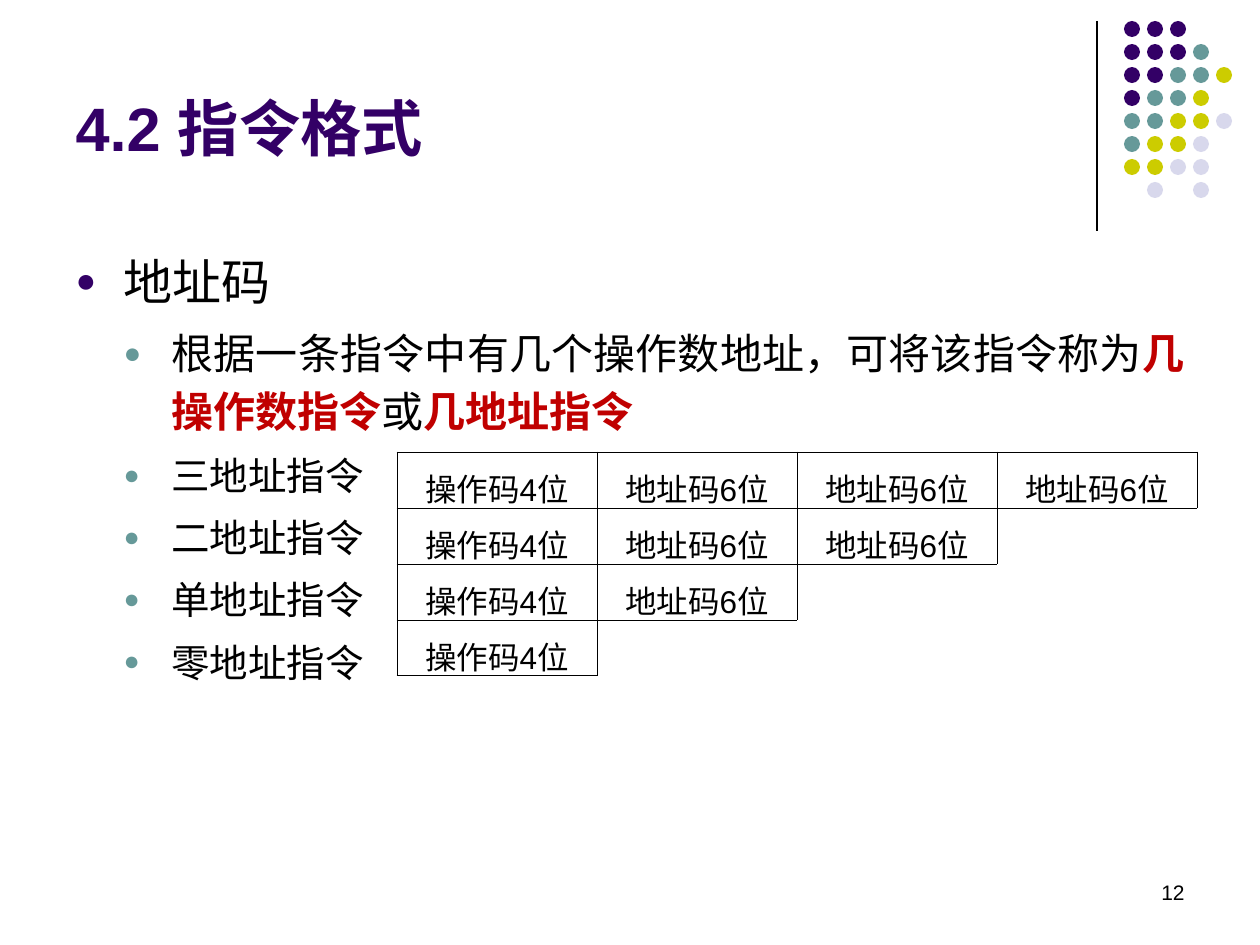
from lxml import etree
from pptx import Presentation
from pptx.dml.color import RGBColor
from pptx.enum.shapes import MSO_CONNECTOR as Conn, MSO_SHAPE as Shape
from pptx.enum.text import MSO_ANCHOR as Anchor, MSO_AUTO_SIZE as Fit, PP_ALIGN as Align
from pptx.oxml.ns import qn
from pptx.util import Emu, Pt

BLACK = RGBColor(0, 0, 0)
WHITE = RGBColor(0xFF, 0xFF, 0xFF)
PURPLE = RGBColor(0x33, 0, 0x66)
TEAL = RGBColor(0x66, 0x99, 0x99)
LIME = RGBColor(0xCC, 0xCC, 0)
PALE = RGBColor(0xD8, 0xD8, 0xEC)
RED = RGBColor(0xC0, 0, 0)
LATIN, HAN = "Arial", "Noto Sans CJK SC"

TITLE = "4.2 指令格式"
# level, size, space before, font, runs of (text, stressed)
ITEMS = [
    (0, 28, 7, LATIN, [("地址码", False)]),
    (1, 24, 6, LATIN, [("根据一条指令中有几个操作数地址，可将该指令称为", False),
                       ("几操作数指令", True), ("或", False), ("几地址指令", True)]),
] + [(1, 22, 5.5, HAN, [(name + "地址指令", False)]) for name in "三二单零"]
OPCODE, ADDRESS = "操作码4位", "地址码6位"
FORMATS = [[OPCODE] + [ADDRESS] * count for count in (3, 2, 1, 0)]
DOTS = ["PPP", "PPPT", "PPTTL", "PTTL", "TTLLA", "TLLA", "LLAA", " A A"]
DOT_FILL = {"P": PURPLE, "T": TEAL, "L": LIME, "A": PALE}


def px(n):
    return Emu(round(n * 914400 / 126))


def place(shape, left, top, width, height):
    shape.left, shape.top = px(left), px(top)
    shape.width, shape.height = px(width), px(height)


def write(par, text, size=18, color=BLACK, bold=False, font=LATIN, align=None):
    run = par.add_run()
    run.text = text
    run.font.size, run.font.bold, run.font.name = Pt(size), bold, font
    run.font.color.rgb = color
    etree.SubElement(run.font._element, qn("a:ea"), typeface=HAN)
    if align is not None:
        par.alignment = align


def bullet(par, level, color):
    props = par._p.get_or_add_pPr()
    props.set("marL", str(px(48 * (level + 1))))
    props.set("indent", str(px(-48)))
    tint = etree.SubElement(props, qn("a:buClr"))
    etree.SubElement(tint, qn("a:srgbClr"), val=str(color))
    etree.SubElement(props, qn("a:buSzPct"), val="70000")
    etree.SubElement(props, qn("a:buFont"), typeface=LATIN)
    etree.SubElement(props, qn("a:buChar"), char="●")


def border(cell, side, shown):
    edge = etree.SubElement(cell._tc.get_or_add_tcPr(), qn("a:ln" + side), w=str(Pt(0.45)))
    if shown:
        fill = etree.SubElement(edge, qn("a:solidFill"))
        etree.SubElement(fill, qn("a:srgbClr"), val=str(BLACK))
    else:
        etree.SubElement(edge, qn("a:noFill"))


def used(row, col):
    return 0 <= row < len(FORMATS) and 0 <= col < len(FORMATS[row])


def add_dots(slide):
    rule = slide.shapes.add_connector(Conn.STRAIGHT, px(1097), px(21), px(1097), px(231))
    rule.line.color.rgb, rule.line.width = BLACK, Pt(0.75)
    etree.SubElement(rule._element.spPr, qn("a:effectLst"))
    group = slide.shapes.add_group_shape()
    for row, marks in enumerate(DOTS):
        for col, mark in enumerate(marks):
            if mark in DOT_FILL:
                dot = group.shapes.add_shape(Shape.OVAL, px(1124 + 23 * col),
                                             px(21 + 23 * row), px(16), px(16))
                dot.shadow.inherit = False
                dot.fill.solid()
                dot.fill.fore_color.rgb = DOT_FILL[mark]
                dot.line.fill.background()


def add_text(slide):
    title, body = slide.placeholders
    place(title, 63, 37, 1040, 179)
    title.text_frame.vertical_anchor = Anchor.MIDDLE
    write(title.text_frame.paragraphs[0], TITLE, size=35, color=PURPLE, bold=True,
          align=Align.LEFT)

    place(body, 63, 237, 1134, 607)
    frame = body.text_frame
    frame.auto_size = Fit.NONE
    for i, (level, size, gap, font, runs) in enumerate(ITEMS):
        par = frame.add_paragraph() if i else frame.paragraphs[0]
        par.level, par.line_spacing, par.space_before = level, 1.14, Pt(gap)
        bullet(par, level, TEAL if level else PURPLE)
        for text, stress in runs:
            write(par, text, size=size, color=RED if stress else BLACK, bold=stress,
                  font=font, align=Align.JUSTIFY)

    number = slide.shapes.add_textbox(px(903), px(861), px(294), px(63)).text_frame
    number.word_wrap = True
    number.vertical_anchor = Anchor.MIDDLE
    write(number.paragraphs[0], "12", size=12, align=Align.RIGHT)


def add_formats(slide):
    rows, cols = len(FORMATS), len(FORMATS[0])
    table = slide.shapes.add_table(rows, cols, px(397), px(452), px(800), px(56 * rows)).table
    table.first_row = table.horz_banding = False
    for row in range(rows):
        for col in range(cols):
            cell = table.cell(row, col)
            for side, down, right in (("L", 0, -1), ("R", 0, 1), ("T", -1, 0), ("B", 1, 0)):
                border(cell, side, used(row, col) or used(row + down, col + right))
            cell.fill.solid()
            cell.fill.fore_color.rgb = WHITE
            cell.vertical_anchor = Anchor.MIDDLE
            if used(row, col):
                par = cell.text_frame.paragraphs[0]
                par.line_spacing = 1.14
                write(par, FORMATS[row][col], align=Align.CENTER)


def main():
    deck = Presentation()
    deck.slide_width, deck.slide_height = px(1260), px(945)
    slide = deck.slides.add_slide(deck.slide_layouts[1])
    add_dots(slide)
    add_text(slide)
    add_formats(slide)
    deck.save("out.pptx")


if __name__ == "__main__":
    main()
